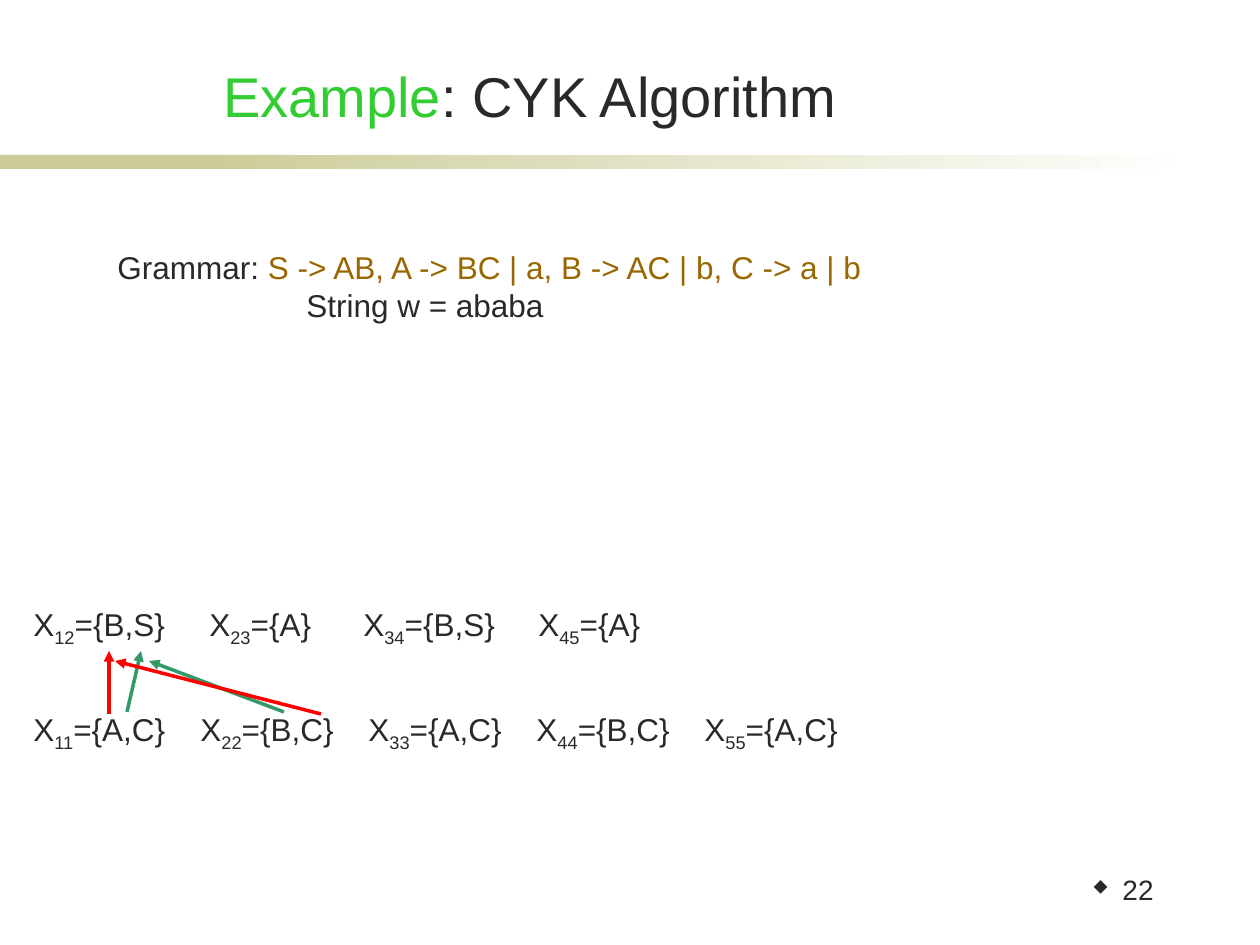
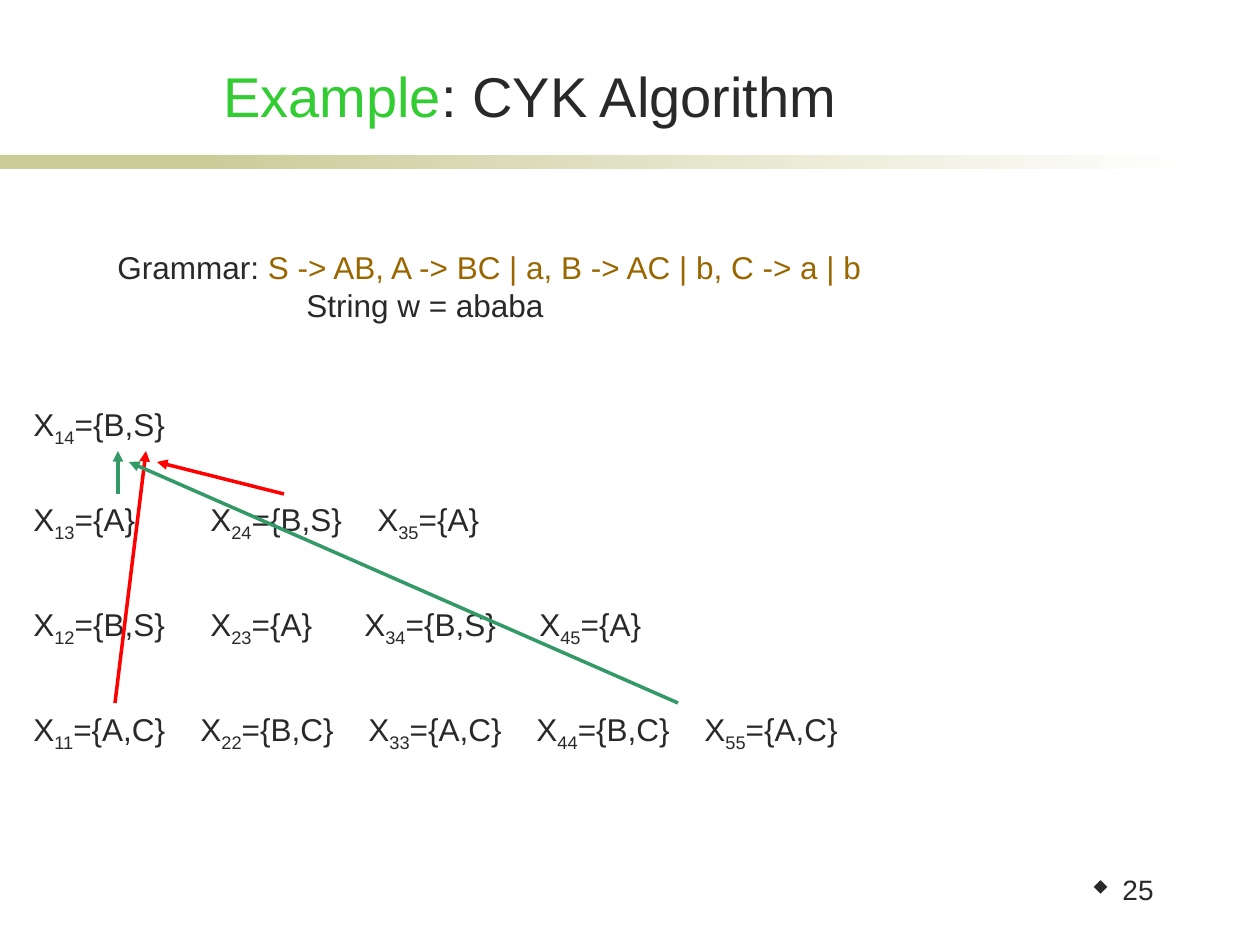
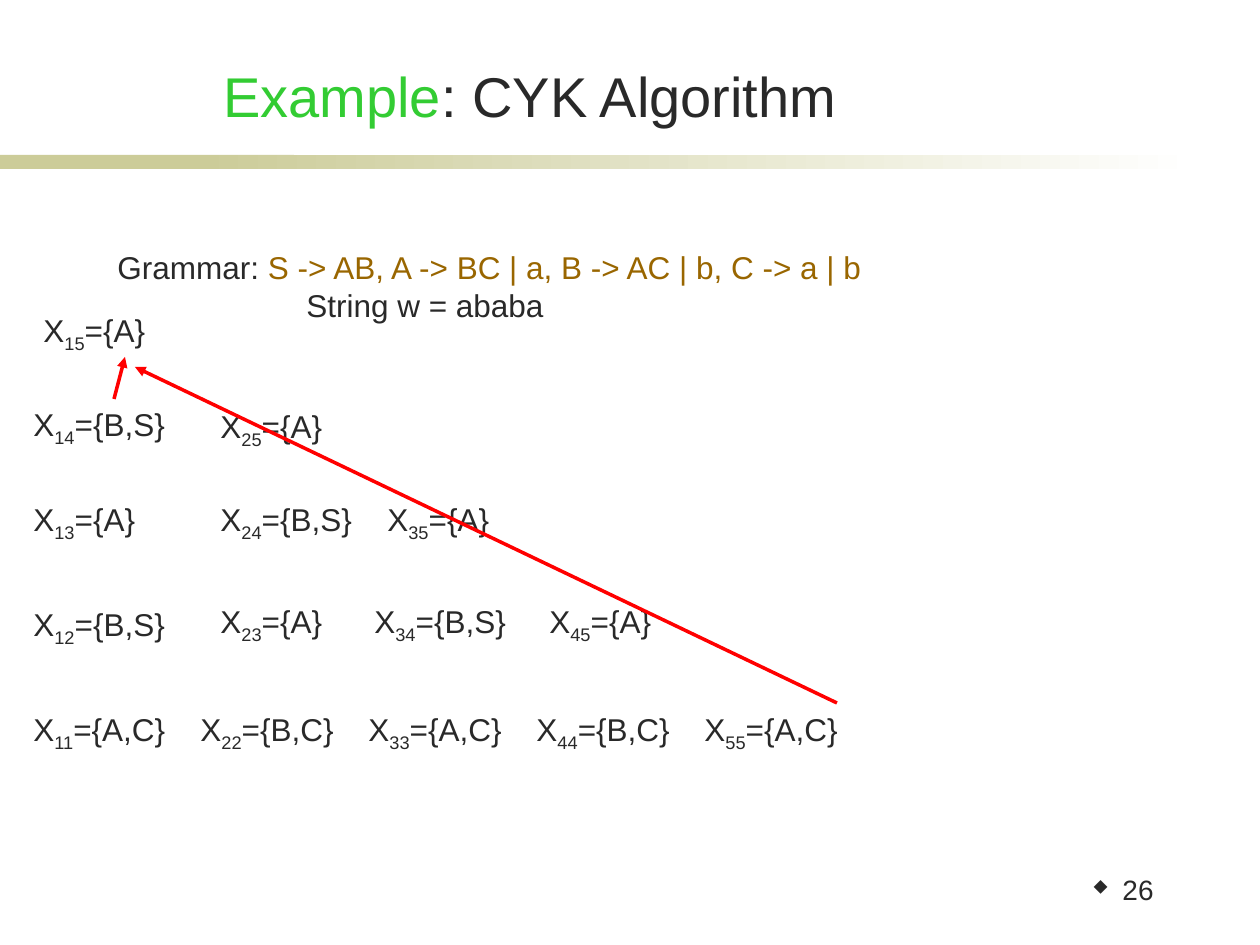
from lxml import etree
from pptx import Presentation
from pptx.dml.color import RGBColor
from pptx.enum.shapes import MSO_CONNECTOR, MSO_SHAPE
from pptx.enum.text import MSO_ANCHOR, PP_ALIGN
from pptx.oxml.ns import qn
from pptx.util import Pt

PX = 7257  # EMU per px, 126 px to the inch
FONT = "Arial"
INK, KEYWORD, RULES = "292929", "33CC33", "996600"
BAND, WHITE = "CCCC99", "FFFFFF"
RED, GREEN = "FF0000", "339966"


def rgb(hex_color):
    return RGBColor.from_string(hex_color)


def write(paragraph, size, pieces):
    """Add one run for each (text, colour, baseline in 1/1000 percent)."""
    for text, color, baseline in pieces:
        run = paragraph.add_run()
        run.text = text
        run.font.name = FONT
        run.font.size = Pt(size)
        run.font.color.rgb = rgb(color)
        if baseline:
            run.font._element.set("baseline", str(baseline))


# Each table row: width, tab stops, cells as (index, set of variables)
SPAN_1 = (1178, [167, 335, 503, 671],
          [("11", "A,C"), ("22", "B,C"), ("33", "A,C"), ("44", "B,C"), ("55", "A,C")])
X12 = (212, [], [("12", "B,S")])
SPAN_2 = (658, [154, 329], [("23", "A"), ("34", "B,S"), ("45", "A")])
X13 = (176, [], [("13", "A")])
SPAN_3 = (416, [167], [("24", "B,S"), ("35", "A")])
X14 = (212, [], [("14", "B,S")])
X25 = (176, [], [("25", "A")])
X15 = (176, [], [("15", "A")])

# Rows that stay in place once they have been found: left, top, row
FIRST_ROWS = [(21, 704, SPAN_1), (21, 599, X12)]
LATER_ROWS = FIRST_ROWS + [(21, 494, X13), (21, 399, X14)]

# Page number, rows, arrows as (colour, from x, from y, to x, to y)
STEPS = [
    ("22", FIRST_ROWS + [(197, 599, SPAN_2)],
     [(GREEN, 127, 712, 141, 651), (GREEN, 284, 712, 149, 661),
      (RED, 109, 714, 109, 651), (RED, 321, 714, 115, 661)]),
    ("25", LATER_ROWS + [(198, 599, SPAN_2), (198, 494, SPAN_3)],
     [(RED, 115, 703, 146, 451), (RED, 284, 494, 157, 462),
      (GREEN, 118, 494, 118, 451), (GREEN, 678, 703, 129, 462)]),
    ("26", LATER_ROWS + [(208, 596, SPAN_2), (208, 494, SPAN_3),
                         (208, 401, X25), (31, 305, X15)],
     [(RED, 114, 399, 125, 357), (RED, 837, 703, 135, 367)]),
]

deck = Presentation()
deck.slide_width, deck.slide_height = 1260 * PX, 945 * PX
layout = deck.slide_layouts[5]

for page, rows, arrows in STEPS:
    slide = deck.slides.add_slide(layout)

    if page == STEPS[0][0]:
        # The band is drawn once and moved to the layout, behind its placeholders
        for position, (left, width) in enumerate([(0, 294), (199, 998)]):
            band = slide.shapes.add_shape(
                MSO_SHAPE.RECTANGLE, left * PX, 155 * PX, width * PX, 14 * PX)
            band.shadow.inherit = False
            band.line.fill.background()
            if left:
                band.fill.gradient()
                band.fill.gradient_angle = 0
                for stop, color in zip(band.fill.gradient_stops, (BAND, WHITE)):
                    stop.color.rgb = rgb(color)
            else:
                band.fill.solid()
                band.fill.fore_color.rgb = rgb(BAND)
            layout.shapes._spTree.insert(2 + position, band._element)

    title = slide.shapes.title
    title.left, title.top, title.width, title.height = 143 * PX, 56 * PX, 774 * PX, 79 * PX
    title.text_frame.vertical_anchor = MSO_ANCHOR.BOTTOM
    heading = title.text_frame.paragraphs[0]
    heading.alignment = PP_ALIGN.CENTER
    write(heading, 32, [("Example", KEYWORD, 0), (": CYK Algorithm", INK, 0)])

    footer = slide.shapes.add_textbox(1037 * PX, 866 * PX, 129 * PX, 63 * PX).text_frame
    footer.word_wrap = True
    footer.margin_top = 10 * PX
    number = footer.paragraphs[0]
    number.alignment = PP_ALIGN.RIGHT
    number.line_spacing = 0.9
    number.space_before = Pt(3)
    write(number, 16, [(page, INK, 0)])
    properties = number._p.get_or_add_pPr()
    properties.set("marL", str(30 * PX))
    properties.set("indent", str(-30 * PX))
    bullet_color = etree.SubElement(properties, qn("a:buClr"))
    etree.SubElement(bullet_color, qn("a:srgbClr"), val=INK)
    etree.SubElement(properties, qn("a:buSzPct"), val="60000")
    # The letter u is the solid diamond in this symbol font
    etree.SubElement(properties, qn("a:buFont"), typeface="Wingdings",
                     pitchFamily="2", charset="2")
    etree.SubElement(properties, qn("a:buChar"), char="u")

    problem = slide.shapes.add_textbox(105 * PX, 242 * PX, 1058 * PX, 113 * PX).text_frame
    problem.word_wrap = True
    write(problem.paragraphs[0], 18,
          [("Grammar: ", INK, 0),
           ("S -> AB, A -> BC | a, B -> AC | b, C -> a | b", RULES, 0)])
    word = problem.add_paragraph()
    word._p.get_or_add_pPr().set("marL", str(189 * PX))
    write(word, 18, [("String w = ababa", INK, 0)])

    for left, top, (width, tab_stops, cells) in rows:
        row = slide.shapes.add_textbox(left * PX, top * PX, width * PX, 63 * PX).text_frame
        row.word_wrap = True
        line = row.paragraphs[0]
        if tab_stops:
            tabs = etree.SubElement(line._p.get_or_add_pPr(), qn("a:tabLst"))
            for stop in tab_stops:
                etree.SubElement(tabs, qn("a:tab"), pos=str(stop * PX), algn="l")
        for column, (index, variables) in enumerate(cells):
            write(line, 18, [("\tX" if column else "X", INK, 0),
                             (index, INK, -25000),
                             (f"={{{variables}}}", INK, 0)])

    for color, *ends in arrows:
        arrow = slide.shapes.add_connector(
            MSO_CONNECTOR.STRAIGHT, *[end * PX for end in ends])
        arrow.line.color.rgb = rgb(color)
        arrow.line.width = Pt(2)
        outline = arrow._element.spPr.find(qn("a:ln"))
        etree.SubElement(outline, qn("a:tailEnd"), type="triangle")
        etree.SubElement(arrow._element.spPr, qn("a:effectLst"))

deck.save("out.pptx")
